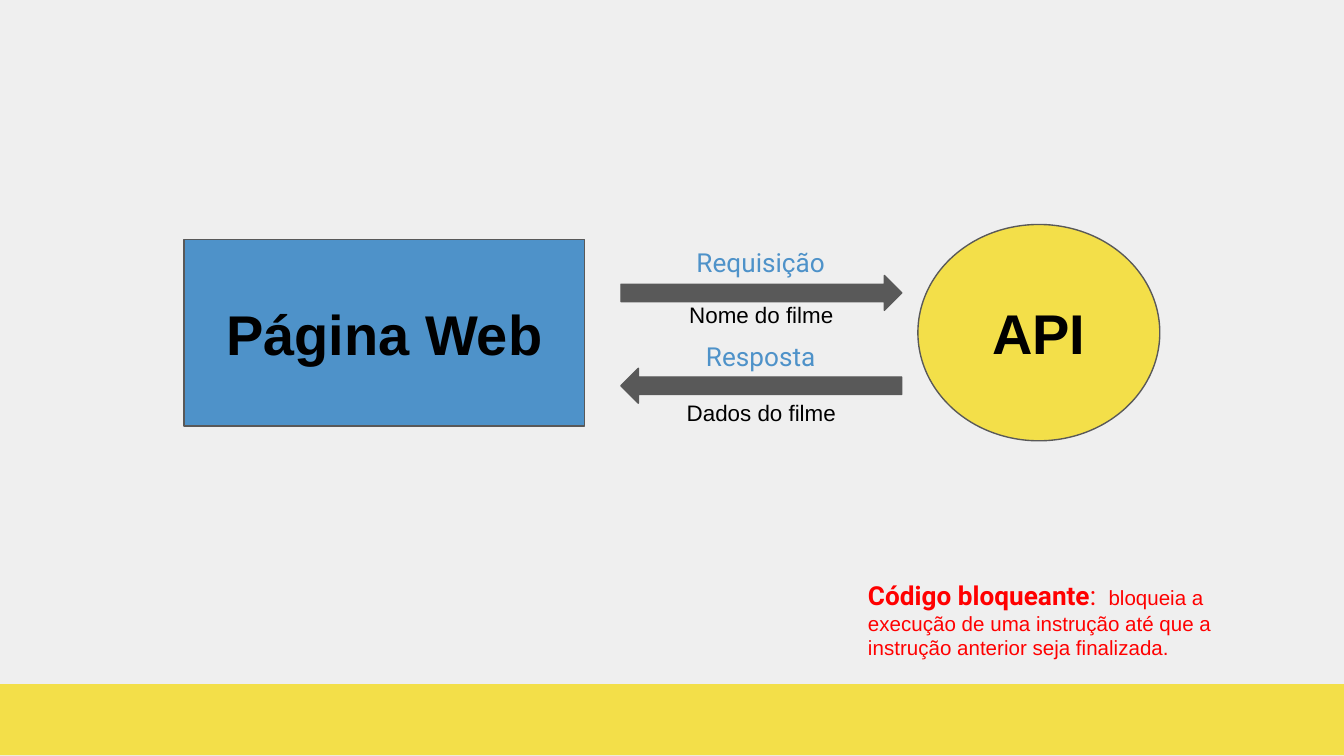
from dataclasses import dataclass

import pptx
import pptx.dml.color
import pptx.enum.shapes
import pptx.enum.text
import pptx.util

Inches = pptx.util.Inches
Shape = pptx.enum.shapes.MSO_SHAPE
Align = pptx.enum.text.PP_ALIGN
Anchor = pptx.enum.text.MSO_ANCHOR


@dataclass(frozen=True)
class Theme:
    """Colours, fonts and type sizes of the deck."""
    background: str = "EFEFEF"
    yellow: str = "F3DF49"
    blue: str = "4E92C9"
    grey: str = "595959"
    black: str = "000000"
    red: str = "FF0000"
    body_font: str = "Arial"
    accent_font: str = "Roboto"
    node_size: int = 30
    accent_size: int = 14
    label_size: int = 12
    note_size: int = 11


THEME = Theme()


def rgb(value):
    """Turn a hex string into a colour."""
    return pptx.dml.color.RGBColor.from_string(value)


def add_span(para, text, *, size, color, font=THEME.body_font, bold=False):
    """Add a formatted run of text to a paragraph."""
    span = para.add_run()
    span.text = text
    span.font.name = font
    span.font.size = pptx.util.Pt(size)
    span.font.bold = bold
    span.font.color.rgb = rgb(color)


def first_para(box, align, anchor):
    """Prepare the text frame of a box and return its first paragraph."""
    frame = box.text_frame
    frame.word_wrap = True
    frame.vertical_anchor = anchor
    frame.margin_left = frame.margin_right = Inches(0.1)
    frame.margin_top = frame.margin_bottom = Inches(0.1)
    para = frame.paragraphs[0]
    para.alignment = align
    return para


def add_figure(page, kind, left, top, width, height, fill, line=None):
    """Draw a flat preset shape with an optional thin outline."""
    figure = page.shapes.add_shape(
        kind, Inches(left), Inches(top), Inches(width), Inches(height))
    figure.shadow.inherit = False
    figure.fill.solid()
    figure.fill.fore_color.rgb = rgb(fill)
    if line:
        figure.line.color.rgb = rgb(line)
        figure.line.width = pptx.util.Pt(0.75)
    else:
        figure.line.fill.background()
    return figure


def add_text_box(page, left, top, width, height, align=Align.CENTER):
    """Add a text box and return its first paragraph."""
    box = page.shapes.add_textbox(
        Inches(left), Inches(top), Inches(width), Inches(height))
    box.text_frame.auto_size = pptx.enum.text.MSO_AUTO_SIZE.SHAPE_TO_FIT_TEXT
    return first_para(box, align, Anchor.TOP)


def add_node(page, kind, left, top, width, height, fill, name):
    """Draw one end of the exchange with its name in the middle."""
    node = add_figure(page, kind, left, top, width, height, fill, THEME.grey)
    add_span(first_para(node, Align.CENTER, Anchor.MIDDLE), name,
             size=THEME.node_size, color=THEME.black, bold=True)


def add_message(page, left, top, width, title, detail, *, rise, drop, rotation=0):
    """Draw a block arrow with a title above and a detail below."""
    arrow = add_figure(page, Shape.RIGHT_ARROW, left, top, width, 0.26,
                       THEME.grey, THEME.grey)
    arrow.rotation = rotation
    add_span(add_text_box(page, left + 0.4, top - rise, 1.28, 0.44), title,
             size=THEME.accent_size, color=THEME.blue, font=THEME.accent_font)
    add_span(add_text_box(page, left + 0.27, top + drop, 1.55, 0.4), detail,
             size=THEME.label_size, color=THEME.black)


def add_note(page, left, top, width, height):
    """Write the definition of blocking code."""
    para = add_text_box(page, left, top, width, height, Align.LEFT)
    accent = dict(size=THEME.accent_size, color=THEME.red, font=THEME.accent_font)
    add_span(para, "Código bloqueante", bold=True, **accent)
    add_span(para, ": ", **accent)
    add_span(para, " bloqueia a execução de uma instrução até que a "
             "instrução anterior seja finalizada.",
             size=THEME.note_size, color=THEME.red)


def main():
    """Build and save the deck."""
    deck = pptx.Presentation()
    deck.slide_width = Inches(10)
    deck.slide_height = deck.slide_width * 9 // 16
    page = deck.slides.add_slide(deck.slide_layouts[6])
    page.background.fill.solid()
    page.background.fill.fore_color.rgb = rgb(THEME.background)
    add_figure(page, Shape.RECTANGLE, 0, 5.09, 10, 0.53, THEME.yellow)
    add_node(page, Shape.OVAL, 6.83, 1.67, 1.8, 1.61, THEME.yellow, "API")
    add_node(page, Shape.RECTANGLE, 1.37, 1.78, 2.98, 1.39, THEME.blue, "Página Web")
    add_message(page, 4.62, 2.05, 2.09, "Requisição", "Nome do filme",
                rise=0.32, drop=0.09)
    add_message(page, 4.62, 2.74, 2.09, "Resposta", "Dados do filme",
                rise=0.31, drop=0.13, rotation=180)
    add_note(page, 6.36, 4.21, 3.05, 0.81)
    deck.save("out.pptx")


if __name__ == "__main__":
    main()
